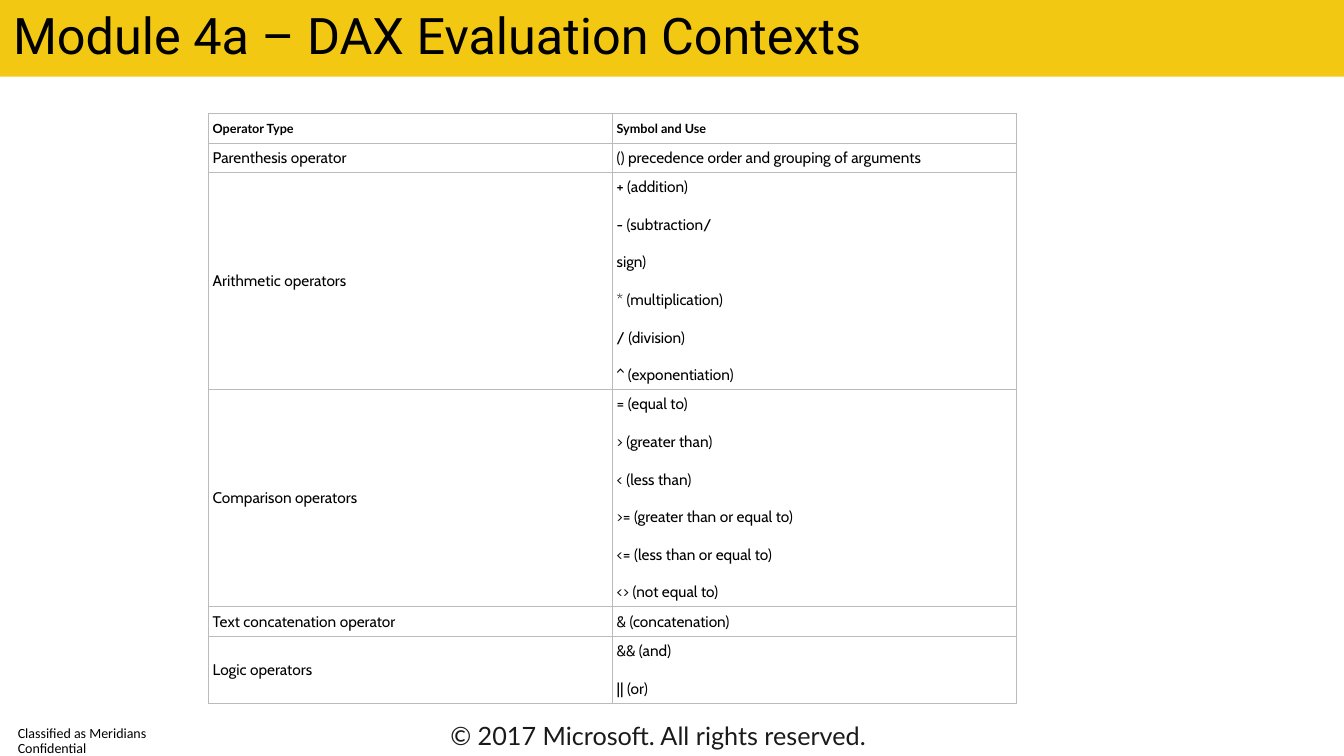
from dataclasses import dataclass

from lxml import etree
from pptx import Presentation
from pptx.dml.color import RGBColor
from pptx.enum import shapes, text
from pptx.oxml import ns
from pptx.util import Cm, Pt

BLACK = RGBColor(0x00, 0x00, 0x00)
CHARCOAL = RGBColor(0x1A, 0x1A, 0x1A)
GRAY = RGBColor(0xBB, 0xBB, 0xBB)
WHITE = RGBColor(0xFF, 0xFF, 0xFF)
YELLOW = RGBColor(0xF2, 0xC8, 0x12)


@dataclass(frozen=True)
class Style:
    font: str
    size: float
    color: RGBColor = BLACK
    bold: bool = False


@dataclass(frozen=True)
class Label:
    wording: str
    left: float
    top: float
    width: float
    height: float
    style: Style
    anchor: text.MSO_ANCHOR
    line_spacing: float = 1.0
    inset_x: float = 0.25
    inset_y: float = 0.13


@dataclass(frozen=True)
class OperatorRow:
    kind: str
    uses: tuple[str, ...]
    height: float


HEADER = Style("Lato", 9, bold=True)
BODY = Style("Cabin", 11)

LABELS = (
    Label("Module 4a – DAX Evaluation Contexts", 0.08, 0.18, 28.5, 1.55,
          Style("Roboto", 36), text.MSO_ANCHOR.MIDDLE, line_spacing=0.9),
    Label("Classified as Meridians Confidential", 0, 18.31, 5.89, 0.74,
          Style("Calibri", 10), text.MSO_ANCHOR.MIDDLE, line_spacing=0.9,
          inset_x=0.45, inset_y=0),
    Label("© 2017 Microsoft. All rights reserved.", 11.1, 18.03, 11.23, 1.02,
          Style("Lato", 18, CHARCOAL), text.MSO_ANCHOR.TOP),
)

ROWS = (
    OperatorRow("Operator Type", ("Symbol and Use",), 0.74),
    OperatorRow("Parenthesis operator",
                ("() precedence order and grouping of arguments",), 0.74),
    OperatorRow("Arithmetic operators",
                ("+ (addition)", "- (subtraction/", "sign)", "* (multiplication)",
                 "/ (division)", "^ (exponentiation)"), 5.47),
    OperatorRow("Comparison operators",
                ("= (equal to)", "> (greater than)", "< (less than)",
                 ">= (greater than or equal to)", "<= (less than or equal to)",
                 "<> (not equal to)"), 5.47),
    OperatorRow("Text concatenation operator", ("& (concatenation)",), 0.74),
    OperatorRow("Logic operators", ("&& (and)", "|| (or)"), 1.69),
)


def add_span(para, wording: str, style: Style) -> None:
    span = para.add_run()
    span.text = wording
    span.font.name = style.font
    span.font.size = Pt(style.size)
    span.font.bold = style.bold
    span.font.color.rgb = style.color


def add_label(page, label: Label) -> None:
    box = page.shapes.add_textbox(Cm(label.left), Cm(label.top),
                                  Cm(label.width), Cm(label.height))
    frame = box.text_frame
    frame.word_wrap = True
    frame.vertical_anchor = label.anchor
    frame.margin_left = frame.margin_right = Cm(label.inset_x)
    frame.margin_top = frame.margin_bottom = Cm(label.inset_y)
    para = frame.paragraphs[0]
    para.line_spacing = label.line_spacing
    add_span(para, label.wording, label.style)


def add_borders(cell) -> None:
    properties = cell._tc.get_or_add_tcPr()
    for position, side in enumerate(("lnL", "lnR", "lnT", "lnB")):
        line = etree.Element(ns.qn(f"a:{side}"), w=str(Pt(0.75)))
        fill = etree.SubElement(line, ns.qn("a:solidFill"))
        etree.SubElement(fill, ns.qn("a:srgbClr"), val=str(GRAY))
        properties.insert(position, line)


def fill_cell(cell, lines: tuple[str, ...], style: Style) -> None:
    cell.fill.solid()
    cell.fill.fore_color.rgb = WHITE
    cell.vertical_anchor = text.MSO_ANCHOR.MIDDLE
    cell.margin_left = cell.margin_right = Cm(0.1)
    cell.margin_top = cell.margin_bottom = Cm(0.13)
    add_borders(cell)
    frame = cell.text_frame
    for index, wording in enumerate(lines):
        para = frame.add_paragraph() if index else frame.paragraphs[0]
        para.space_before = Pt(13.4 if index else 0)
        add_span(para, wording, style)


def add_operator_table(page, rows: tuple[OperatorRow, ...]) -> None:
    height = sum(row.height for row in rows)
    table = page.shapes.add_table(len(rows), 2, Cm(5.26), Cm(2.87),
                                  Cm(20.36), Cm(height)).table
    table.first_row = False
    table.horz_banding = False
    for index, row in enumerate(rows):
        table.rows[index].height = Cm(row.height)
        style = BODY if index else HEADER
        fill_cell(table.cell(index, 0), (row.kind,), style)
        fill_cell(table.cell(index, 1), row.uses, style)


def add_banner(page, width: int) -> None:
    banner = page.shapes.add_shape(shapes.MSO_SHAPE.RECTANGLE, 0, 0, width, Cm(1.93))
    banner.shadow.inherit = False
    banner.fill.solid()
    banner.fill.fore_color.rgb = YELLOW
    banner.line.fill.background()


def main() -> None:
    deck = Presentation()
    deck.slide_width, deck.slide_height = Cm(33.87), Cm(19.05)
    page = deck.slides.add_slide(deck.slide_layouts[6])
    add_banner(page, deck.slide_width)
    for label in LABELS:
        add_label(page, label)
    add_operator_table(page, ROWS)
    deck.save("out.pptx")


if __name__ == "__main__":
    main()
